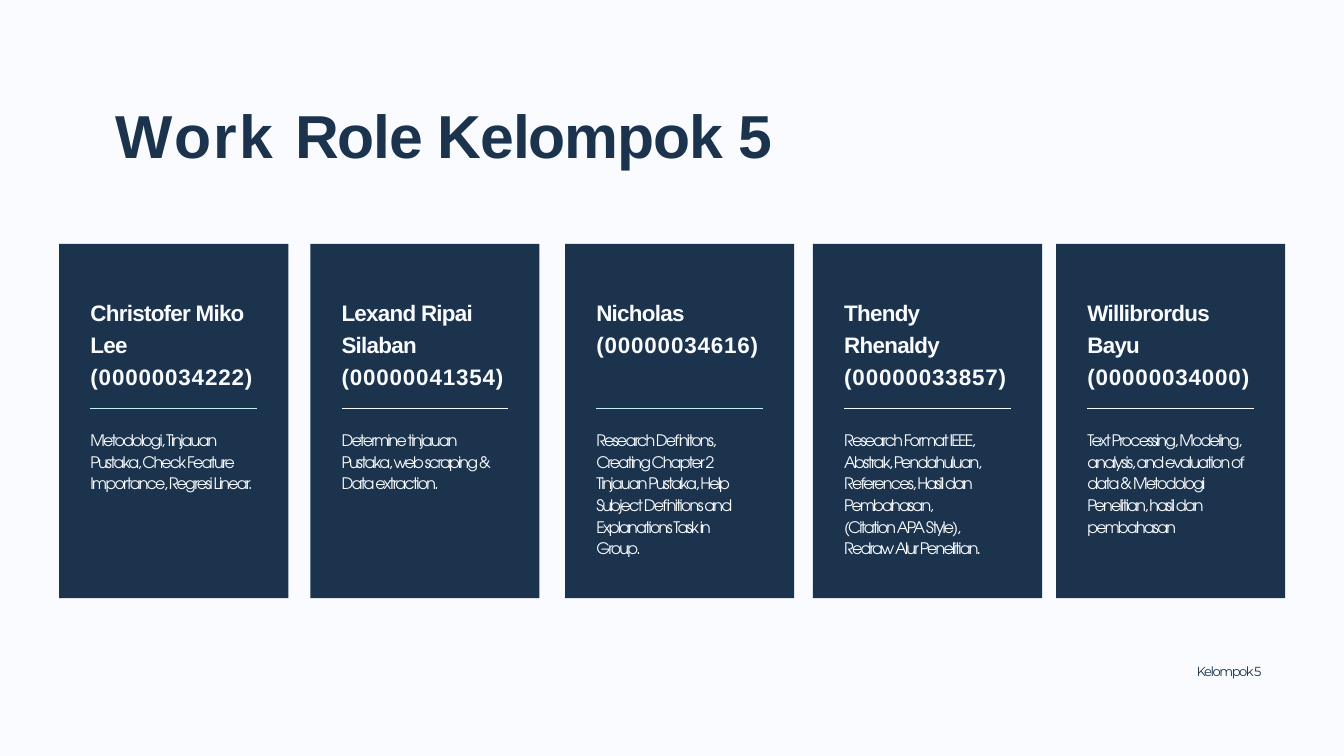
from dataclasses import dataclass

from pptx import Presentation
from pptx.dml.color import RGBColor
from pptx.enum.shapes import MSO_CONNECTOR, MSO_SHAPE
from pptx.util import Cm, Pt
from pptx.oxml.ns import qn
from lxml.etree import SubElement


@dataclass(frozen=True)
class Theme:
    """Colours, fonts and type sizes of the slide."""
    navy: RGBColor = RGBColor(0x1B, 0x33, 0x4D)
    pale: RGBColor = RGBColor(0xF9, 0xFB, 0xFF)
    aqua: RGBColor = RGBColor(0xBF, 0xF0, 0xF6)
    heading: str = "Arial"
    body: str = "TeX Gyre Adventor"
    footer: str = "Montserrat"
    title_size: float = 65
    name_size: float = 24
    duty_size: float = 17
    footer_size: float = 14


THEME = Theme()

CARDS = [
    (2.24, THEME.aqua, "Christofer Miko\nLee", "00000034222",
     "Metodologi, Tinjauan\nPustaka, Check Feature\nImportance, Regresi Linear."),
    (11.73, THEME.pale, "Lexand Ripai\nSilaban", "00000041354",
     "Determine tinjauan\nPustaka, web scraping &\nData extraction."),
    (21.36, THEME.aqua, "Nicholas", "00000034616",
     "Research Definitons,\nCreating Chapter 2\nTinjauan Pustaka, Help\n"
     "Subject Definitions and\nExplanations Task in\nGroup."),
    (30.73, THEME.pale, "Thendy\nRhenaldy", "00000033857",
     "Research Format IEEE,\nAbstrak, Pendahuluan,\nReferences, Hasil dan\n"
     "Pembahasan,\n(Citation APA Style),\nRedraw Alur Penelitian."),
    (39.92, THEME.pale, "Willibrordus\nBayu", "00000034000",
     "Text Processing, Modeling,\nanalysis, and evaluation of\ndata & Metodologi\n"
     "Penelitian, hasil dan\npembahasan"),
]


def add_paragraph_box(s, x, y, w, h, line_spacing=1.0):
    """Add a text box without margins and return its paragraph."""
    tf = s.shapes.add_textbox(Cm(x), Cm(y), Cm(w), Cm(h)).text_frame
    tf.word_wrap = True
    tf.margin_left = tf.margin_right = tf.margin_top = tf.margin_bottom = 0
    p = tf.paragraphs[0]
    p.line_spacing = line_spacing
    return p


def write(p, text, *, size, font, color, bold=False, spacing=0):
    """Append text to a paragraph, with a line break at each newline."""
    for i, line in enumerate(text.split("\n")):
        if i:
            p.add_line_break()
        r = p.add_run()
        r.text = line
        r.font.size, r.font.name, r.font.bold = Pt(size), font, bold
        r.font.color.rgb = color
        r.font._element.set("spc", str(round(spacing * 100)))


def add_rule(s, x, y, w, color):
    """Draw a thin horizontal rule."""
    line = s.shapes.add_connector(MSO_CONNECTOR.STRAIGHT, Cm(x), Cm(y), Cm(x + w), Cm(y))
    line.line.color.rgb = color
    line.line.width = Pt(0.75)
    SubElement(line._element.spPr, qn("a:effectLst"))


def add_card(s, x, y, w, h, rule_color, name, number, duties):
    """Draw one member's card with name, number, rule and duties."""
    pad = 1.18
    inner = w - 2 * pad
    sp = s.shapes.add_shape(MSO_SHAPE.RECTANGLE, Cm(x), Cm(y), Cm(w), Cm(h))
    sp.shadow.inherit = False
    sp.fill.solid()
    sp.fill.fore_color.rgb = THEME.navy
    sp.line.fill.background()

    p = add_paragraph_box(s, x + pad, y + 1.88, w - pad, 3.6, 1.2)
    style = dict(size=THEME.name_size, font=THEME.heading, color=THEME.pale, bold=True)
    write(p, f"{name}\n", spacing=-0.8, **style)
    write(p, f"({number})", spacing=0.9, **style)

    add_rule(s, x + pad, y + 6.21, inner, rule_color)

    p = add_paragraph_box(s, x + pad, y + 6.96, w - pad, 5, 1.14)
    write(p, duties, size=THEME.duty_size, font=THEME.body, color=THEME.pale, spacing=-1.95)


def add_title(s, x, y, w, h):
    """Write the slide title."""
    p = add_paragraph_box(s, x, y, w, h)
    style = dict(size=THEME.title_size, font=THEME.heading, color=THEME.navy, bold=True)
    write(p, "Work ", spacing=2.5, **style)
    write(p, "Role Kelompok 5", spacing=-1.2, **style)


def add_footer(s, x, y, w, h):
    """Write the group name at the foot of the slide."""
    p = add_paragraph_box(s, x, y, w, h)
    write(p, "Kelompok 5", size=THEME.footer_size, font=THEME.footer,
          color=THEME.navy, spacing=-1.6)


def main():
    """Build and save the slide."""
    prs = Presentation()
    prs.slide_width, prs.slide_height = Cm(50.8), Cm(28.58)
    s = prs.slides.add_slide(prs.slide_layouts[6])
    s.background.fill.solid()
    s.background.fill.fore_color.rgb = THEME.pale
    add_title(s, 4.38, 3.7, 25.06, 2.64)
    for x, *content in CARDS:
        add_card(s, x, 9.22, 8.66, 13.39, *content)
    add_footer(s, 45.23, 25.07, 2.77, 0.66)
    prs.save("out.pptx")


if __name__ == "__main__":
    main()
